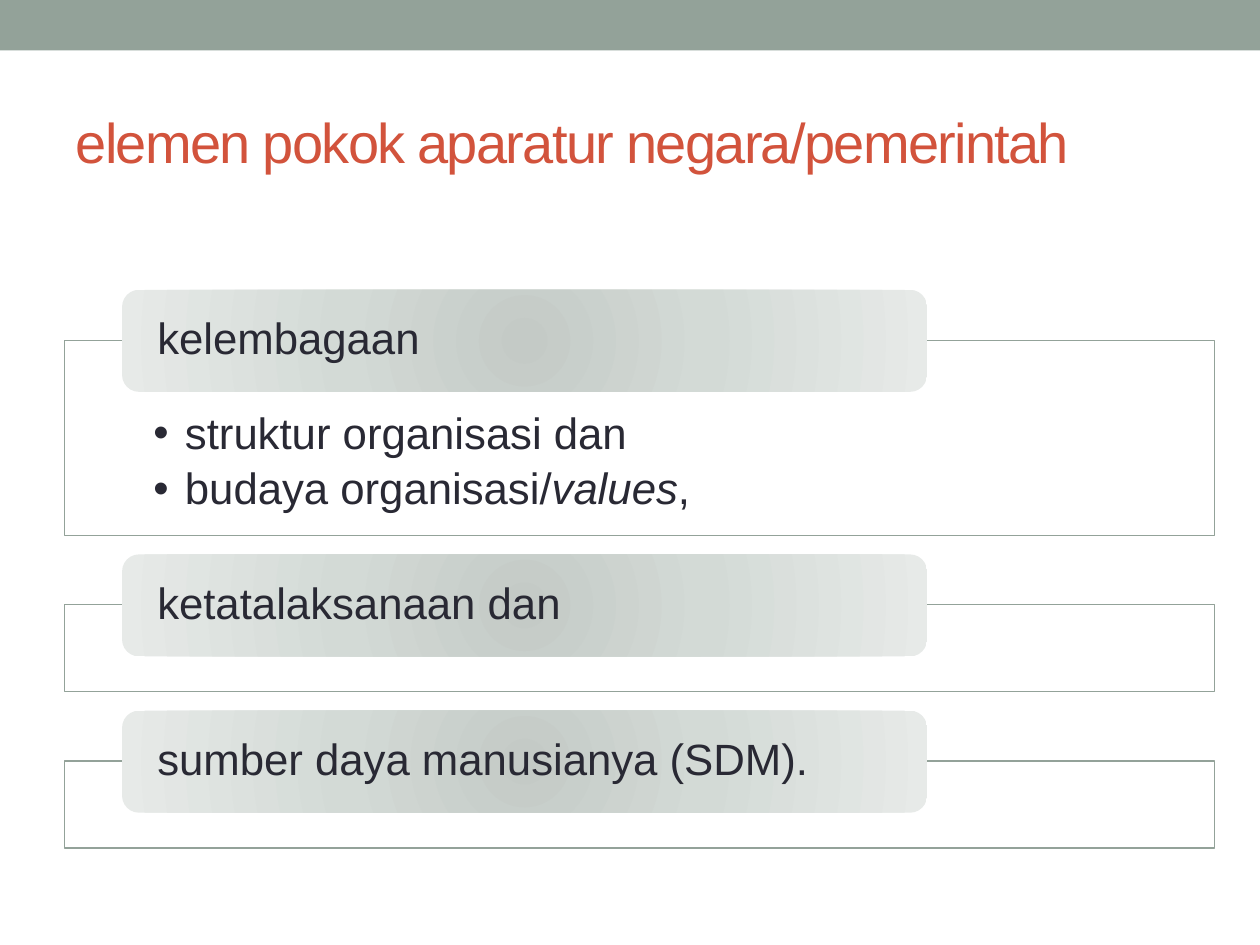
from dataclasses import dataclass

from lxml import etree
from pptx import Presentation
from pptx.dml.color import RGBColor
from pptx.enum.shapes import MSO_SHAPE
from pptx.enum.text import MSO_ANCHOR, MSO_AUTO_SIZE, PP_ALIGN
from pptx.oxml.ns import qn
from pptx.util import Pt

RECTANGLE = MSO_SHAPE.RECTANGLE
ROUNDED = MSO_SHAPE.ROUNDED_RECTANGLE
TOP, MIDDLE = MSO_ANCHOR.TOP, MSO_ANCHOR.MIDDLE
LEFT = PP_ALIGN.LEFT
NO_AUTOFIT = MSO_AUTO_SIZE.NONE


@dataclass(frozen=True)
class Theme:
    font: str = "Arial"
    title_size: float = 32
    body_size: float = 25
    title: str = "D2533C"
    text: str = "292934"
    accent: str = "93A299"
    panel: str = "FFFFFF"
    label_stops: tuple = ((0, "C4CAC6"), (45, "D3DAD6"), (100, "E7EAE8"))


THEME = Theme()

# Layout, in points
SLIDE_WIDTH, SLIDE_HEIGHT = 720, 540
BAND_HEIGHT = 28.8
PANEL_LEFT, PANEL_WIDTH, FIRST_PANEL_TOP = 36.7, 657.4, 194.4
PANEL_GAP, LIST_PANEL_HEIGHT, EMPTY_PANEL_HEIGHT = 39.6, 111.6, 49.7
LABEL_LEFT, LABEL_WIDTH, LABEL_HEIGHT, LABEL_RISE = 69.8, 460, 58.3, 28.8

# Each section: label, then list items made of (text, italic) runs
SECTIONS = [
    ("kelembagaan", [
        [("struktur organisasi dan", False)],
        [("budaya organisasi/", False), ("values", True), (",", False)],
    ]),
    ("ketatalaksanaan dan", []),
    ("sumber daya manusianya (SDM).", []),
]


def place(shape, left, top, width, height):
    shape.left, shape.top = Pt(left), Pt(top)
    shape.width, shape.height = Pt(width), Pt(height)


def add_box(slide, kind, left, top, width, height):
    shape = slide.shapes.add_shape(kind, Pt(left), Pt(top), Pt(width), Pt(height))
    shape.shadow.inherit = False
    shape.line.fill.background()
    return shape


def add_bullet(paragraph, indent):
    properties = paragraph._p.get_or_add_pPr()
    properties.set("marL", str(Pt(indent)))
    properties.set("indent", str(-Pt(indent)))
    etree.SubElement(properties, qn("a:buFont"), typeface=THEME.font)
    etree.SubElement(properties, qn("a:buChar"), char="•")


def write_text(shape, paragraphs, *, size=THEME.body_size, color=THEME.text,
               anchor=MIDDLE, insets=(7.2, 3.6, 7.2, 3.6), line_spacing=0.9,
               space_after=0, bullet_indent=None, tracking=None):
    frame = shape.text_frame
    frame.word_wrap = True
    frame.auto_size = NO_AUTOFIT
    frame.vertical_anchor = anchor
    (frame.margin_left, frame.margin_top,
     frame.margin_right, frame.margin_bottom) = map(Pt, insets)
    for index, runs in enumerate(paragraphs):
        paragraph = frame.add_paragraph() if index else frame.paragraphs[0]
        if bullet_indent:
            add_bullet(paragraph, bullet_indent)
        paragraph.alignment = LEFT
        paragraph.line_spacing = line_spacing
        paragraph.space_before = Pt(0)
        paragraph.space_after = Pt(space_after)
        for text, italic in runs:
            run = paragraph.add_run()
            run.text = text
            run.font.name = THEME.font
            run.font.size = Pt(size)
            run.font.italic = italic
            run.font.color.rgb = RGBColor.from_string(color)
            if tracking:
                run._r.get_or_add_rPr().set("spc", str(tracking * 100))


def fill_radial(shape, stops):
    shape.fill.background()
    gradient = etree.Element(qn("a:gradFill"), rotWithShape="1")
    stop_list = etree.SubElement(gradient, qn("a:gsLst"))
    for position, color in stops:
        stop = etree.SubElement(stop_list, qn("a:gs"), pos=str(position * 1000))
        etree.SubElement(stop, qn("a:srgbClr"), val=color)
    path = etree.SubElement(gradient, qn("a:path"))
    path.set("path", "circle")
    etree.SubElement(path, qn("a:fillToRect"),
                     {side: "50000" for side in "ltrb"})
    properties = shape._element.spPr
    properties.replace(properties.find(qn("a:noFill")), gradient)


def style_panel(shape):
    shape.fill.solid()
    shape.fill.fore_color.rgb = RGBColor.from_string(THEME.panel)
    color = shape._element.spPr.find(qn("a:solidFill"))[0]
    etree.SubElement(color, qn("a:alpha"), val="90000")
    shape.line.color.rgb = RGBColor.from_string(THEME.accent)
    shape.line.width = Pt(0.75)


def add_label(slide, text, panel_top):
    label = add_box(slide, ROUNDED, LABEL_LEFT, panel_top - LABEL_RISE,
                    LABEL_WIDTH, LABEL_HEIGHT)
    fill_radial(label, THEME.label_stops)
    write_text(label, [[(text, False)]], insets=(17.3, 0, 17.3, 0))


def add_section(slide, body, label, items, top):
    """Draw a panel with its label; return the panel's height."""
    height = LIST_PANEL_HEIGHT if items else EMPTY_PANEL_HEIGHT
    bounds = (PANEL_LEFT, top, PANEL_WIDTH, height)
    if items:
        panel = body
        place(panel, *bounds)
        write_text(panel, items, anchor=TOP, insets=(51, 41, 51, 13.7),
                   space_after=4.5, bullet_indent=18)
    else:
        panel = add_box(slide, RECTANGLE, *bounds)
    style_panel(panel)
    add_label(slide, label, top)
    return height


def main():
    presentation = Presentation()
    presentation.slide_width = Pt(SLIDE_WIDTH)
    presentation.slide_height = Pt(SLIDE_HEIGHT)
    slide = presentation.slides.add_slide(presentation.slide_layouts[1])

    # Header band
    band = add_box(slide, RECTANGLE, 0, 0, SLIDE_WIDTH, BAND_HEIGHT)
    band.fill.solid()
    band.fill.fore_color.rgb = RGBColor.from_string(THEME.accent)

    # Title
    title = slide.shapes.title
    place(title, 36, 41.8, 648, 77.8)
    write_text(title, [[("elemen pokok aparatur negara/pemerintah", False)]],
               size=THEME.title_size, color=THEME.title,
               line_spacing=1.0, tracking=-1)

    # Sections, stacked with equal gaps
    body = slide.placeholders[1]
    top = FIRST_PANEL_TOP
    for label, items in SECTIONS:
        top += add_section(slide, body, label, items, top) + PANEL_GAP

    presentation.save("out.pptx")


if __name__ == "__main__":
    main()
